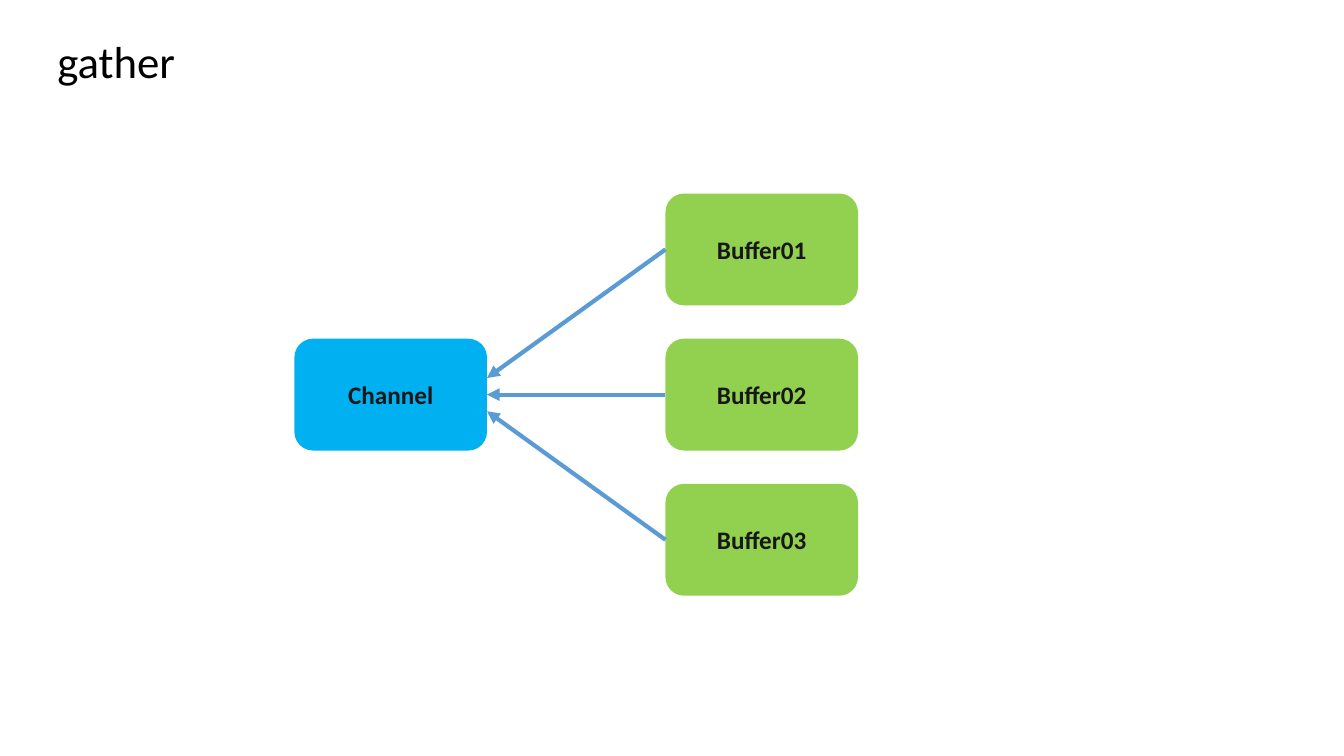
from dataclasses import dataclass

from lxml.etree import SubElement
from pptx import Presentation
from pptx.dml.color import RGBColor
from pptx.enum.shapes import MSO_CONNECTOR, MSO_SHAPE
from pptx.enum.text import MSO_ANCHOR, MSO_AUTO_SIZE, PP_ALIGN
from pptx.oxml.ns import qn
from pptx.util import Inches, Pt


@dataclass(frozen=True)
class Theme:
    font: str = "Calibri"
    title_size: int = 32
    node_size: int = 18
    arrow_width: int = 3
    title_color: str = "000000"
    node_text: str = "181717"
    channel: str = "00B0F0"
    buffer: str = "92D050"
    arrow: str = "5B9BD5"


THEME = Theme()
NODE_WIDTH, NODE_HEIGHT = 1.91, 1.11
BUFFERS = ["Buffer01", "Buffer02", "Buffer03"]


def write_text(text_frame, text, size, color, bold=False):
    paragraph = text_frame.paragraphs[0]
    paragraph.text = text
    paragraph.font.name = THEME.font
    paragraph.font.size = Pt(size)
    paragraph.font.bold = bold
    paragraph.font.color.rgb = RGBColor.from_string(color)
    return paragraph


def add_title(slide, text, left, top, width, height):
    box = slide.shapes.add_textbox(Inches(left), Inches(top), Inches(width), Inches(height))
    box.text_frame.word_wrap = True
    box.text_frame.auto_size = MSO_AUTO_SIZE.SHAPE_TO_FIT_TEXT
    write_text(box.text_frame, text, THEME.title_size, THEME.title_color)


def add_node(slide, text, left, top, fill):
    node = slide.shapes.add_shape(
        MSO_SHAPE.ROUNDED_RECTANGLE,
        Inches(left), Inches(top), Inches(NODE_WIDTH), Inches(NODE_HEIGHT),
    )
    node.shadow.inherit = False
    node.fill.solid()
    node.fill.fore_color.rgb = RGBColor.from_string(fill)
    node.line.fill.background()
    node.text_frame.word_wrap = True
    node.text_frame.vertical_anchor = MSO_ANCHOR.MIDDLE
    paragraph = write_text(node.text_frame, text, THEME.node_size, THEME.node_text, bold=True)
    paragraph.alignment = PP_ALIGN.CENTER


def add_arrow(slide, start_x, start_y, end_x, end_y):
    arrow = slide.shapes.add_connector(
        MSO_CONNECTOR.STRAIGHT,
        Inches(start_x), Inches(start_y), Inches(end_x), Inches(end_y),
    )
    arrow.line.color.rgb = RGBColor.from_string(THEME.arrow)
    arrow.line.width = Pt(THEME.arrow_width)
    SubElement(arrow.line._get_or_add_ln(), qn("a:tailEnd"), type="triangle")
    SubElement(arrow.element.spPr, qn("a:effectLst"))


def add_gather_diagram(slide, left, top, width, height):
    row_step = (height - NODE_HEIGHT) / (len(BUFFERS) - 1)
    buffer_left = left + width - NODE_WIDTH
    channel_top = top + (height - NODE_HEIGHT) / 2
    channel_middle = channel_top + NODE_HEIGHT / 2
    arrival_gap = 0.165

    add_node(slide, "Channel", left, channel_top, THEME.channel)
    for row, name in enumerate(BUFFERS):
        add_node(slide, name, buffer_left, top + row * row_step, THEME.buffer)
    for row in range(len(BUFFERS)):
        start_y = top + row * row_step + NODE_HEIGHT / 2
        end_y = channel_middle + (row - (len(BUFFERS) - 1) / 2) * arrival_gap
        add_arrow(slide, buffer_left, start_y, left + NODE_WIDTH, end_y)


def build_gather_slide(presentation):
    slide = presentation.slides.add_slide(presentation.slide_layouts[6])
    add_title(slide, "gather", 0.47, 0.29, 2.09, 0.64)
    add_gather_diagram(slide, 2.92, 1.92, 5.59, 3.99)


presentation = Presentation()
presentation.slide_width = Inches(13.33)
presentation.slide_height = Inches(7.5)
build_gather_slide(presentation)
presentation.save("out.pptx")
